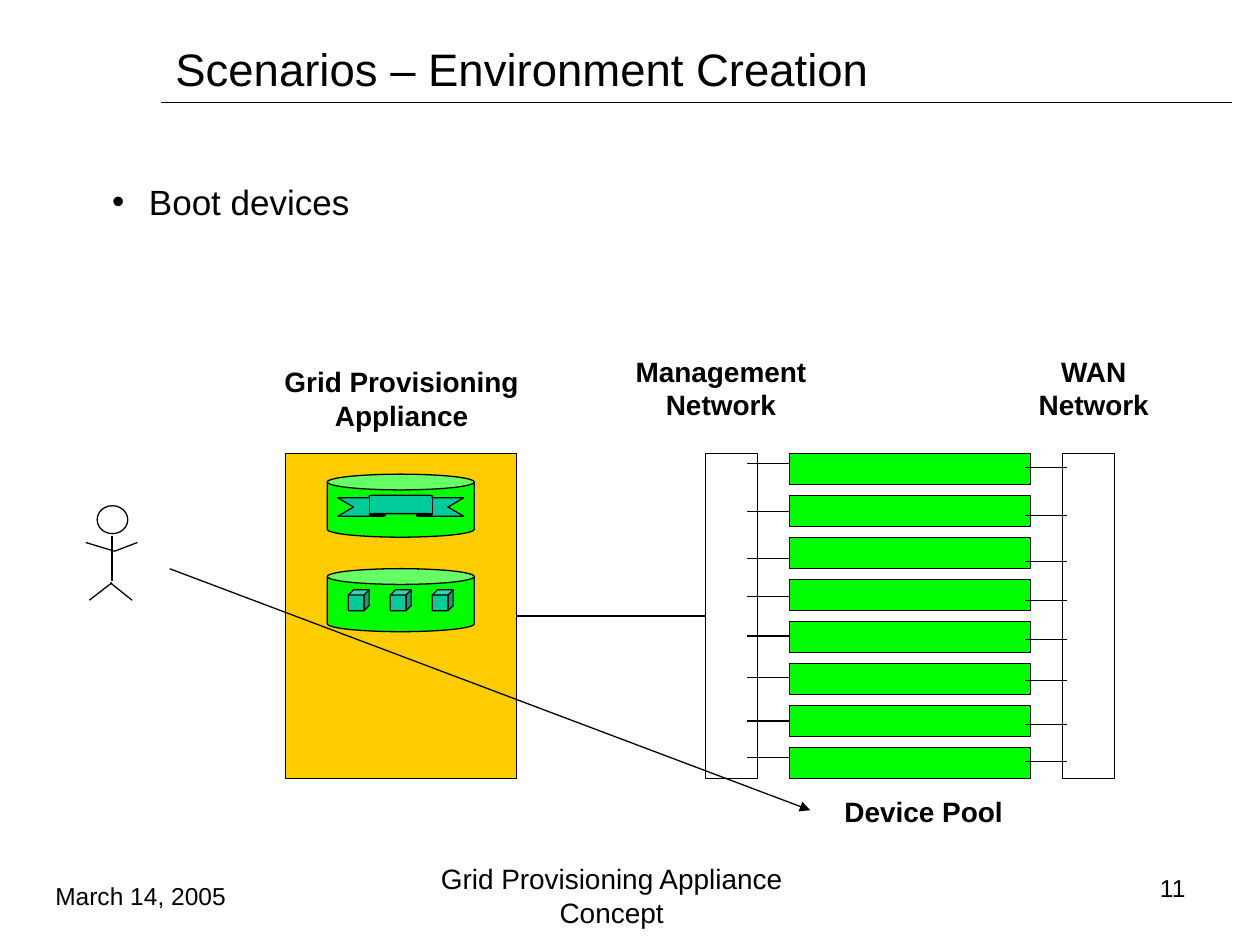
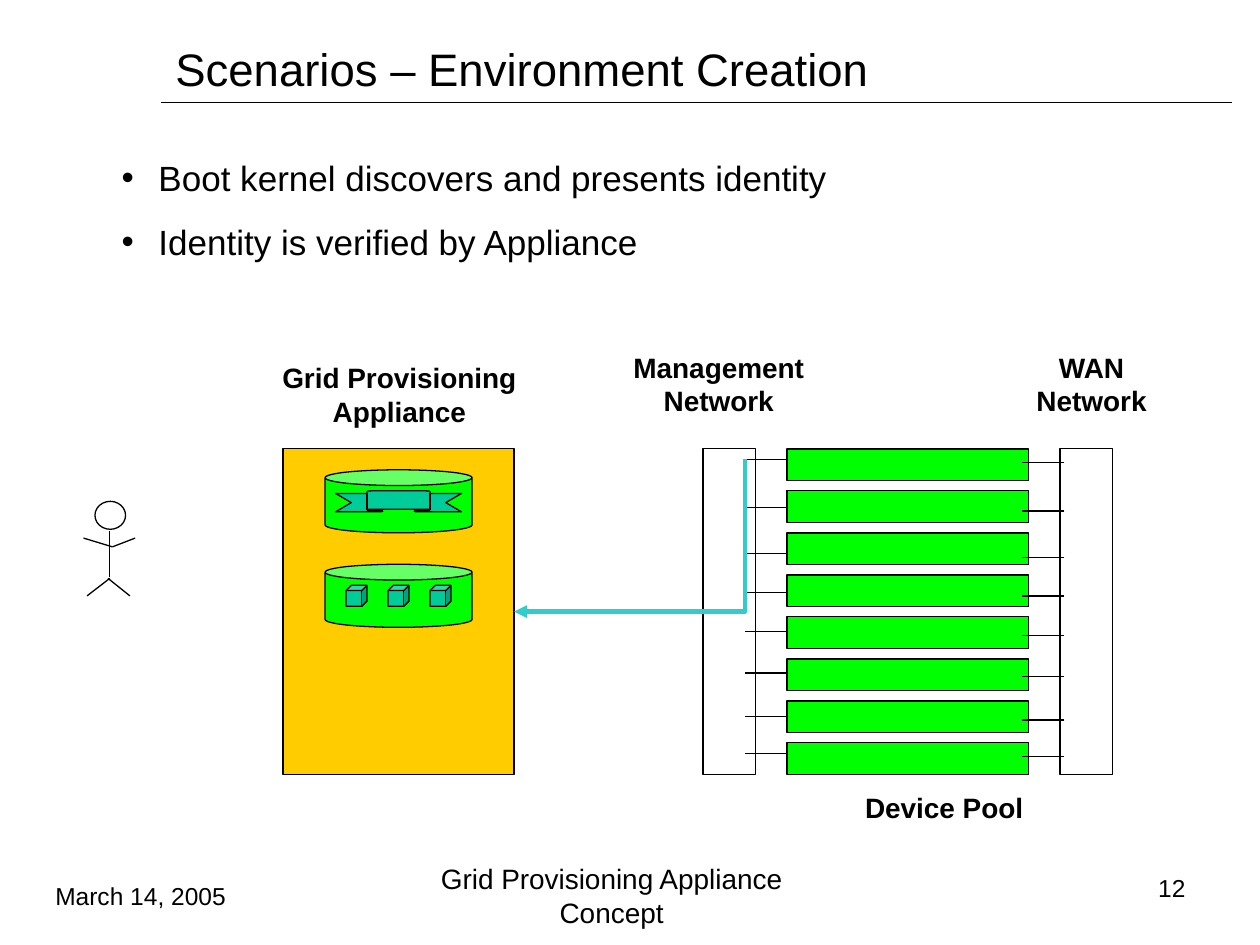
from dataclasses import dataclass

from lxml.etree import SubElement as Sub
from pptx import Presentation
from pptx.dml.color import RGBColor as Rgb
from pptx.enum.shapes import MSO_CONNECTOR as Link, MSO_SHAPE as Kind
from pptx.enum.text import MSO_ANCHOR as Anchor, MSO_AUTO_SIZE as Auto, PP_ALIGN as Align
from pptx.oxml.ns import qn
from pptx.util import Pt


@dataclass(frozen=True)
class Theme:
    font: str = "Arial"
    ink: Rgb = Rgb(0, 0, 0)
    gold: Rgb = Rgb(0xFF, 0xCC, 0)
    green: Rgb = Rgb(0, 0xFF, 0)
    teal: Rgb = Rgb(0, 0xCC, 0x99)
    aqua: Rgb = Rgb(0x33, 0xCC, 0xCC)
    title: float = 26
    body: float = 20
    label: float = 16
    small: float = 14
    thin: float = 0.75
    thick: float = 2.5


LOOK = Theme()
TITLE = "Scenarios – Environment Creation"
TICKS = (6, 33.5, 60, 82, 104.5, 128, 153, 174)


def pts(*values):
    return [Pt(value) for value in values]


def style(text, size, bold=False, align=Align.LEFT, anchor=Anchor.TOP):
    text.word_wrap = True
    text.auto_size = Auto.NONE
    text.vertical_anchor = anchor
    for para in text.paragraphs:
        para.alignment = align
        for run in para.runs:
            font = run.font
            font.name, font.size, font.bold = LOOK.font, Pt(size), bold
            font.color.rgb = LOOK.ink


def write(slide, words, box, size, **form):
    text = slide.shapes.add_textbox(*pts(*box)).text_frame
    text.text = words
    style(text, size, **form)
    return text


def label(slide, words, box, align=Align.CENTER):
    write(slide, words, box, LOOK.label, bold=True, align=align)


def draw(shapes, kind, box, fill=None, bends=()):
    shape = shapes.add_shape(kind, *pts(*box))
    shape.shadow.inherit = False
    if fill is None:
        shape.fill.background()
    else:
        shape.fill.solid()
        shape.fill.fore_color.rgb = fill
    shape.line.color.rgb = LOOK.ink
    shape.line.width = Pt(LOOK.thin)
    for i, bend in enumerate(bends):
        shape.adjustments[i] = bend
    return shape


def join(shapes, start, end, ink=LOOK.ink, width=LOOK.thin, arrow=False, kind=Link.STRAIGHT):
    line = shapes.add_connector(kind, *pts(*start, *end))
    line.line.color.rgb = ink
    line.line.width = Pt(width)
    props = line.element.spPr
    if arrow:
        Sub(props.find(qn("a:ln")), qn("a:tailEnd"), type="triangle")
    Sub(props, qn("a:effectLst"))
    return line


def turn(shapes, start, end):
    x, y = start
    left, low = end
    wide, tall = low - y, x - left
    mid_x, mid_y = (x + left) / 2, (y + low) / 2
    line = join(shapes, (mid_x - wide / 2, mid_y - tall / 2),
                (mid_x + wide / 2, mid_y + tall / 2),
                LOOK.aqua, LOOK.thick, True, Link.ELBOW)
    props = line.element.spPr
    props.find(qn("a:xfrm")).set("rot", "5400000")
    props.find(qn("a:prstGeom")).set("prst", "bentConnector2")


def frame(slide, number):
    title = slide.shapes.title
    title.left, title.top, title.width, title.height = pts(93, 24, 612, 30)
    title.text_frame.text = TITLE
    style(title.text_frame, LOOK.title, anchor=Anchor.MIDDLE)
    join(slide.shapes, (92, 58.75), (704.25, 58.75))
    foot = (
        ("Grid Provisioning Appliance Concept", (219, 492, 261, 39.5), LOOK.label, Align.CENTER),
        (str(number), (616, 498.5, 68.5, 17), LOOK.small, Align.RIGHT),
        ("March 14, 2005", (24.5, 498.5, 126.5, 26.5), LOOK.small, Align.LEFT),
    )
    for words, box, size, align in foot:
        write(slide, words, box, size, align=align, anchor=Anchor.MIDDLE)


def points(slide, items, box):
    text = write(slide, "\n".join(items), box, LOOK.body)
    for i, para in enumerate(text.paragraphs):
        props = para._p.get_or_add_pPr()
        props.set("marL", str(Pt(21)))
        props.set("indent", str(Pt(-21)))
        if i:
            para.space_before = Pt(12.5)
        Sub(props, qn("a:buFont"), typeface=LOOK.font)
        Sub(props, qn("a:buChar"), char="•")


def person(slide, x, y):
    shapes = slide.shapes.add_group_shape().shapes
    draw(shapes, Kind.OVAL, (x + 6.5, y, 17.5, 16))
    limbs = ((15, 17, 15, 43), (16.5, 26, 29.5, 21), (16.5, 26, 0, 21),
             (15, 44, 2, 54), (14, 44, 26.5, 54))
    for x1, y1, x2, y2 in limbs:
        join(shapes, (x + x1, y + y1), (x + x2, y + y2))


def server(slide, x, y):
    shapes = slide.shapes
    case = draw(shapes, Kind.RECTANGLE, (x, y, 132, 186), LOOK.gold)
    for top in (12, 66):
        draw(shapes, Kind.CAN, (x + 24, y + top, 84, 36), LOOK.green, (0.25,))
    draw(shapes, Kind.UP_RIBBON, (x + 30, y + 24, 72, 12), LOOK.teal, (0.125, 0.5))
    for i in range(3):
        draw(shapes, Kind.CUBE, (x + 36 + 24 * i, y + 78, 12, 12), LOOK.teal, (0.25,))
    label(slide, "Grid Provisioning Appliance", (x - 11.5, y - 54, 156, 46))
    return case


def pool(slide, x, y, name_x):
    shapes = slide.shapes
    for i in range(8):
        draw(shapes, Kind.RECTANGLE, (x + 48, y + 24 * i, 138, 18), LOOK.green)
    left, right = [draw(shapes, Kind.RECTANGLE, (x + dx, y, 30, 186)) for dx in (0, 204)]
    for dx, dy in ((24, 0), (182.5, 2)):
        for tick in TICKS:
            join(shapes, (x + dx + 24, y + dy + tick), (x + dx, y + dy + tick))
    label(slide, "Management Network", (x - 60, y - 60, 138, 46))
    label(slide, "WAN Network", (x + 180, y - 60, 84, 46))
    label(slide, "Device Pool", (x + name_x, y + 191.5, 108, 26.5), Align.LEFT)
    return left


def scene(slide, x, y, name_x):
    person(slide, x - 114, y + 30)
    case = server(slide, x, y)
    net = pool(slide, x + 240, y, name_x)
    wire = join(slide.shapes, (x + 132, y + 93), (x + 240, y + 93))
    wire.begin_connect(case, 3)
    wire.end_connect(net, 1)


def boot(slide):
    x, y = 163, 259
    frame(slide, 11)
    points(slide, ["Boot devices"], (57, 99.5, 636, 31.5))
    scene(slide, x, y, 72.5)
    join(slide.shapes, (x - 66, y + 66), (x + 300, y + 204), arrow=True)


def verify(slide):
    x, y = 161.75, 256.5
    frame(slide, 12)
    points(slide, ["Boot kernel discovers and presents identity",
                   "Identity is verified by Appliance"], (62.5, 86, 548, 67.5))
    scene(slide, x, y, 85.5)
    turn(slide.shapes, (x + 264, y + 6), (x + 132, y + 93))


def main():
    deck = Presentation()
    deck.slide_width, deck.slide_height = pts(720, 540)
    for build in (boot, verify):
        build(deck.slides.add_slide(deck.slide_layouts[5]))
    deck.save("out.pptx")


if __name__ == "__main__":
    main()
